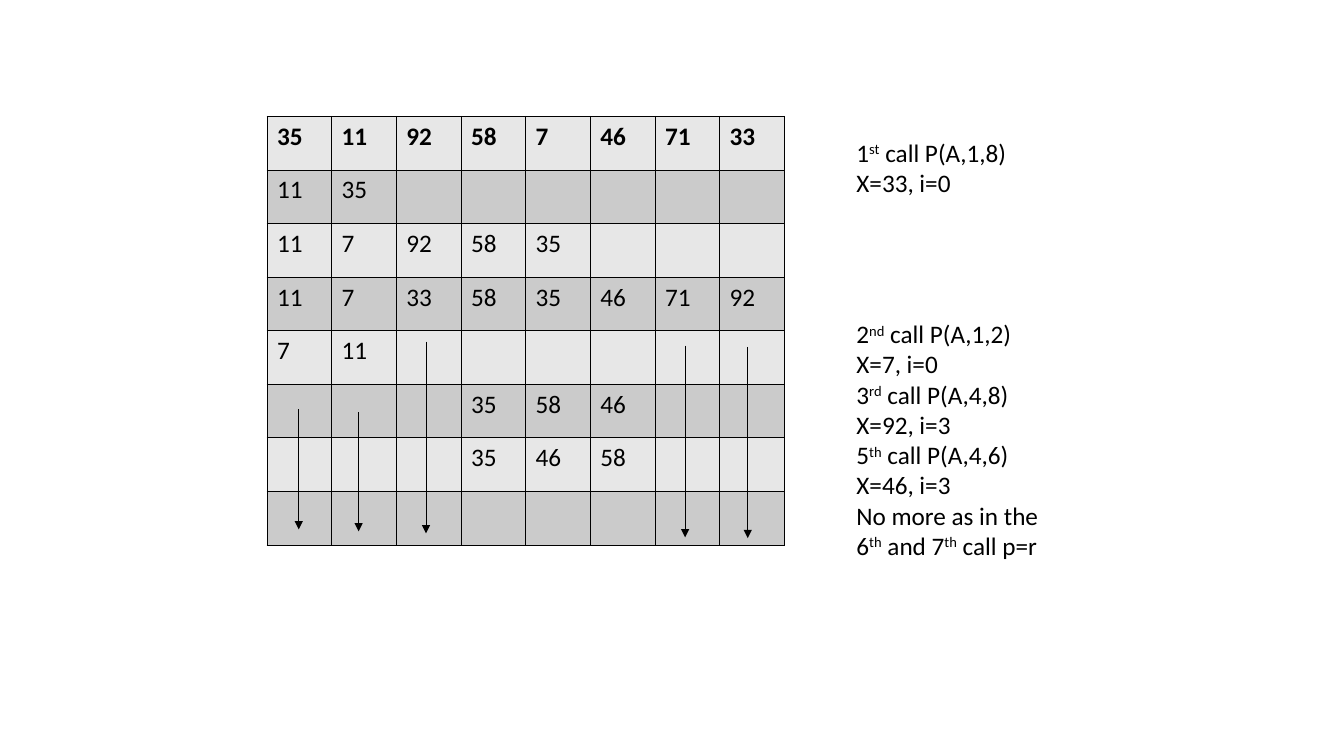
from lxml import etree
from pptx import Presentation
from pptx.dml.color import RGBColor
from pptx.enum.shapes import MSO_CONNECTOR
from pptx.enum.text import MSO_AUTO_SIZE
from pptx.oxml.ns import qn
from pptx.util import Cm, Pt

STRAIGHT = MSO_CONNECTOR.STRAIGHT
GROW = MSO_AUTO_SIZE.SHAPE_TO_FIT_TEXT
COLORS = {"ink": "000000", "light": "E7E7E7", "dark": "CBCBCB"}
FONT = "Calibri"
COLUMN_WIDTH, ROW_HEIGHT = 1.63, 1.35

STEPS = [
    ["35", "11", "92", "58", "7", "46", "71", "33"],
    ["11", "35", "", "", "", "", "", ""],
    ["11", "7", "92", "58", "35", "", "", ""],
    ["11", "7", "33", "58", "35", "46", "71", "92"],
    ["7", "11", "", "", "", "", "", ""],
    ["", "", "", "35", "58", "46", "", ""],
    ["", "", "", "35", "46", "58", "", ""],
    ["", "", "", "", "", "", "", ""],
]
ARROWS = [
    (7.53, 10.31, 13.34),
    (9.04, 10.39, 13.39),
    (10.74, 8.61, 13.44),
    (17.27, 8.71, 13.54),
    (18.85, 8.74, 13.56),
]
CALLS = [
    ["1", "st", " call P(A,1,8)"],
    ["X=33, i=0"],
    ["2", "nd", " call P(A,1,2)"],
    ["X=7, i=0"],
    ["3", "rd", " call P(A,4,8)"],
    ["X=92, i=3"],
    ["5", "th", " call P(A,4,6)"],
    ["X=46, i=3"],
    ["No more as in the 6", "th", " and 7", "th", " call p=r"],
]
SECOND_CALL = 2


def style_font(font, bold=False):
    font.name = FONT
    font.size = Pt(18)
    font.bold = bold
    font.color.rgb = RGBColor.from_string(COLORS["ink"])


deck = Presentation()
deck.slide_width, deck.slide_height = Cm(33.88), Cm(19.05)
page = deck.slides.add_slide(deck.slide_layouts[6])

rows, columns = len(STEPS), len(STEPS[0])
table = page.shapes.add_table(
    rows, columns, Cm(6.73), Cm(2.93), Cm(columns * COLUMN_WIDTH), Cm(rows * ROW_HEIGHT)
).table
for column in table.columns:
    column.width = Cm(COLUMN_WIDTH)
for row_index, step in enumerate(STEPS):
    table.rows[row_index].height = Cm(ROW_HEIGHT)
    for column_index, value in enumerate(step):
        cell = table.cell(row_index, column_index)
        cell.text = value
        style_font(cell.text_frame.paragraphs[0].font, bold=row_index == 0)
        for span in cell.text_frame.paragraphs[0].runs:
            style_font(span.font, bold=row_index == 0)
        properties = cell._tc.get_or_add_tcPr()
        for side in ("a:lnL", "a:lnR", "a:lnT", "a:lnB"):
            border = etree.SubElement(properties, qn(side), w=str(Pt(0.45)))
            solid = etree.SubElement(border, qn("a:solidFill"))
            etree.SubElement(solid, qn("a:srgbClr"), val=COLORS["ink"])
        cell.fill.solid()
        shade = COLORS["dark" if row_index % 2 else "light"]
        cell.fill.fore_color.rgb = RGBColor.from_string(shade)

for x, top, bottom in ARROWS:
    arrow = page.shapes.add_connector(STRAIGHT, Cm(x), Cm(top), Cm(x), Cm(bottom))
    arrow.line.width = Pt(0.75)
    arrow.line.color.rgb = RGBColor.from_string(COLORS["ink"])
    etree.SubElement(arrow.line._get_or_add_ln(), qn("a:tailEnd"), type="triangle")
    etree.SubElement(arrow._element.spPr, qn("a:effectLst"))

box = page.shapes.add_textbox(Cm(21.34), Cm(3.33), Cm(5.79), Cm(10.92))
frame = box.text_frame
frame.word_wrap = True
frame.auto_size = GROW
for index, parts in enumerate(CALLS):
    para = frame.add_paragraph() if index else frame.paragraphs[0]
    if index == SECOND_CALL:
        para.space_before = Pt(86.4)
    for position, part in enumerate(parts):
        span = para.add_run()
        span.text = part
        style_font(span.font)
        if position % 2:
            span.font._element.set("baseline", "30000")

deck.save("out.pptx")
